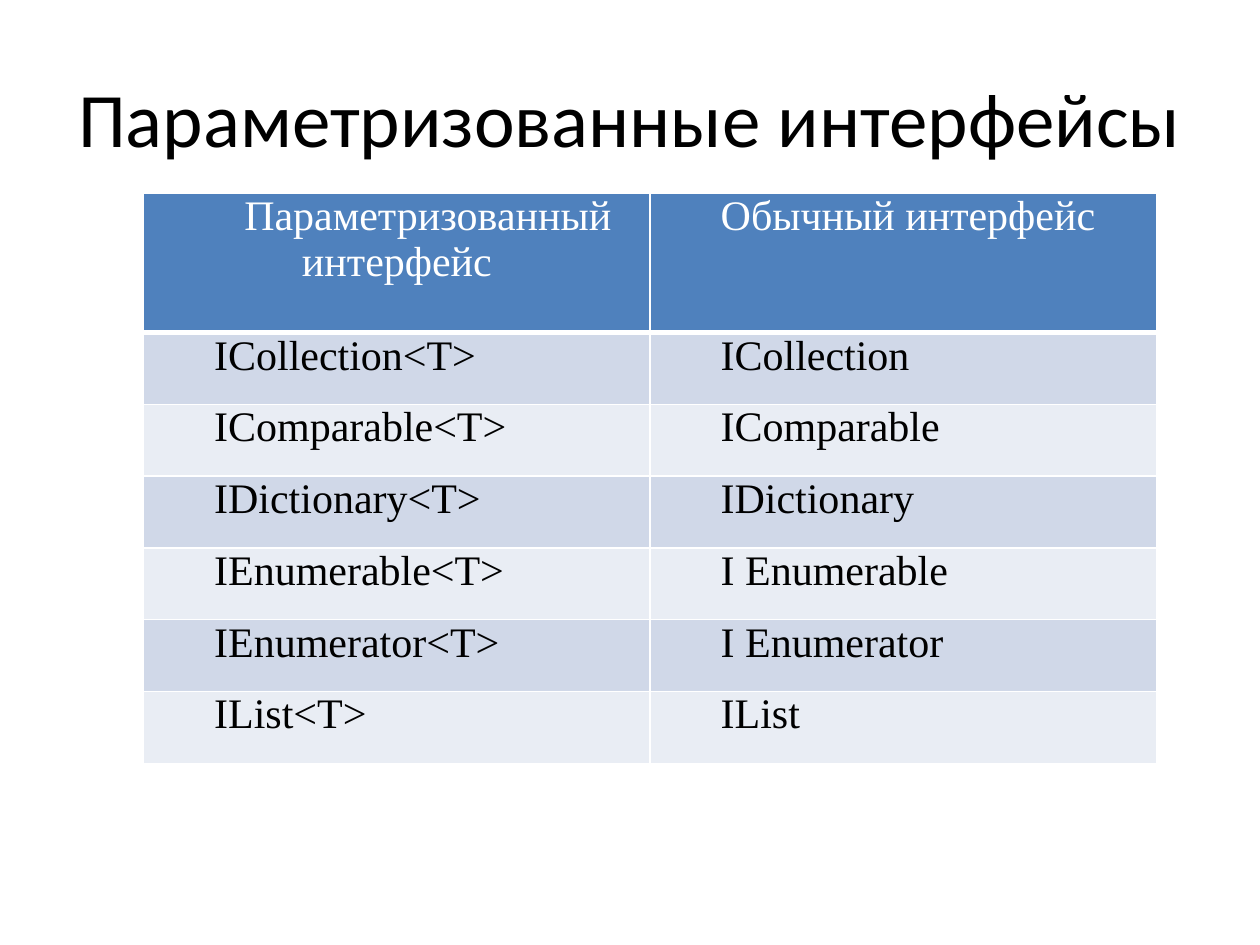
from dataclasses import dataclass

from lxml import etree
from pptx import Presentation
from pptx.dml.color import RGBColor
from pptx.enum.text import MSO_ANCHOR, PP_ALIGN
from pptx.oxml.ns import qn
from pptx.util import Inches, Pt

CENTER, LEFT = PP_ALIGN.CENTER, PP_ALIGN.LEFT
MIDDLE, TOP = MSO_ANCHOR.MIDDLE, MSO_ANCHOR.TOP
TITLE_ONLY = 5
COLORS = {
    "black": "000000",
    "white": "FFFFFF",
    "header": "4F81BD",
    "odd": "D0D8E8",
    "even": "E9EDF4",
}


@dataclass
class CellStyle:
    fill: str
    text: str
    bottom_border: float = 1


HEADER = CellStyle("header", "white", 3)
BANDS = (CellStyle("even", "black"), CellStyle("odd", "black"))
ROWS = [
    ("Параметризованный интерфейс", "Обычный интерфейс"),
    ("ICollection<T>", "ICollection"),
    ("IComparable<T>", "IComparable"),
    ("IDictionary<Т>", "IDictionary"),
    ("IEnumerable<T>", "I Enumerable"),
    ("IEnumerator<T>", "I Enumerator"),
    ("IList<T>", "IList"),
]


def add_text(para, text: str, font: str, size: float, color: str) -> None:
    span = para.add_run()
    span.text = text
    span.font.name = font
    span.font.size = Pt(size)
    span.font.bold = False
    span.font.color.rgb = RGBColor.from_string(COLORS[color])


def add_borders(cell, bottom_width: float) -> None:
    """Must run before the cell is filled: lines precede the fill in tcPr."""
    properties = cell._tc.get_or_add_tcPr()
    for side, width in (("L", 1), ("R", 1), ("T", 1), ("B", bottom_width)):
        line = etree.SubElement(properties, qn(f"a:ln{side}"), w=str(Pt(width)))
        fill = etree.SubElement(line, qn("a:solidFill"))
        etree.SubElement(fill, qn("a:srgbClr"), val=COLORS["white"])


def fill_cell(cell, text: str, style: CellStyle, alignment) -> None:
    add_borders(cell, style.bottom_border)
    cell.fill.solid()
    cell.fill.fore_color.rgb = RGBColor.from_string(COLORS[style.fill])
    cell.margin_left = cell.margin_right = Inches(0.07)
    cell.margin_top = cell.margin_bottom = 0
    cell.vertical_anchor = TOP
    para = cell.text_frame.paragraphs[0]
    para.alignment = alignment
    para._p.get_or_add_pPr().set("indent", str(Inches(0.49)))
    add_text(para, text, "Times New Roman", 24, style.text)


def add_title(slide, text: str) -> None:
    title = slide.shapes.title
    title.left, title.top = Inches(0.5), Inches(0.3)
    title.width, title.height = Inches(9), Inches(1.25)
    title.text_frame.vertical_anchor = MIDDLE
    para = title.text_frame.paragraphs[0]
    para.alignment = CENTER
    add_text(para, text, "Calibri", 44, "black")


def add_interface_table(slide) -> None:
    frame = slide.shapes.add_table(
        len(ROWS), 2, Inches(1.14), Inches(1.53), Inches(8.03), Inches(4.51)
    )
    table = frame.table
    for column in table.columns:
        column.width = Inches(4.02)
    for index, texts in enumerate(ROWS):
        table.rows[index].height = Inches(0.57 if index else 1.11)
        style = BANDS[index % 2] if index else HEADER
        for column, text in enumerate(texts):
            alignment = CENTER if index == column == 0 else LEFT
            fill_cell(table.cell(index, column), text, style, alignment)


def main() -> None:
    deck = Presentation()
    deck.slide_width, deck.slide_height = Inches(10), Inches(7.5)
    slide = deck.slides.add_slide(deck.slide_layouts[TITLE_ONLY])
    add_title(slide, "Параметризованные интерфейсы")
    add_interface_table(slide)
    deck.save("out.pptx")


if __name__ == "__main__":
    main()
